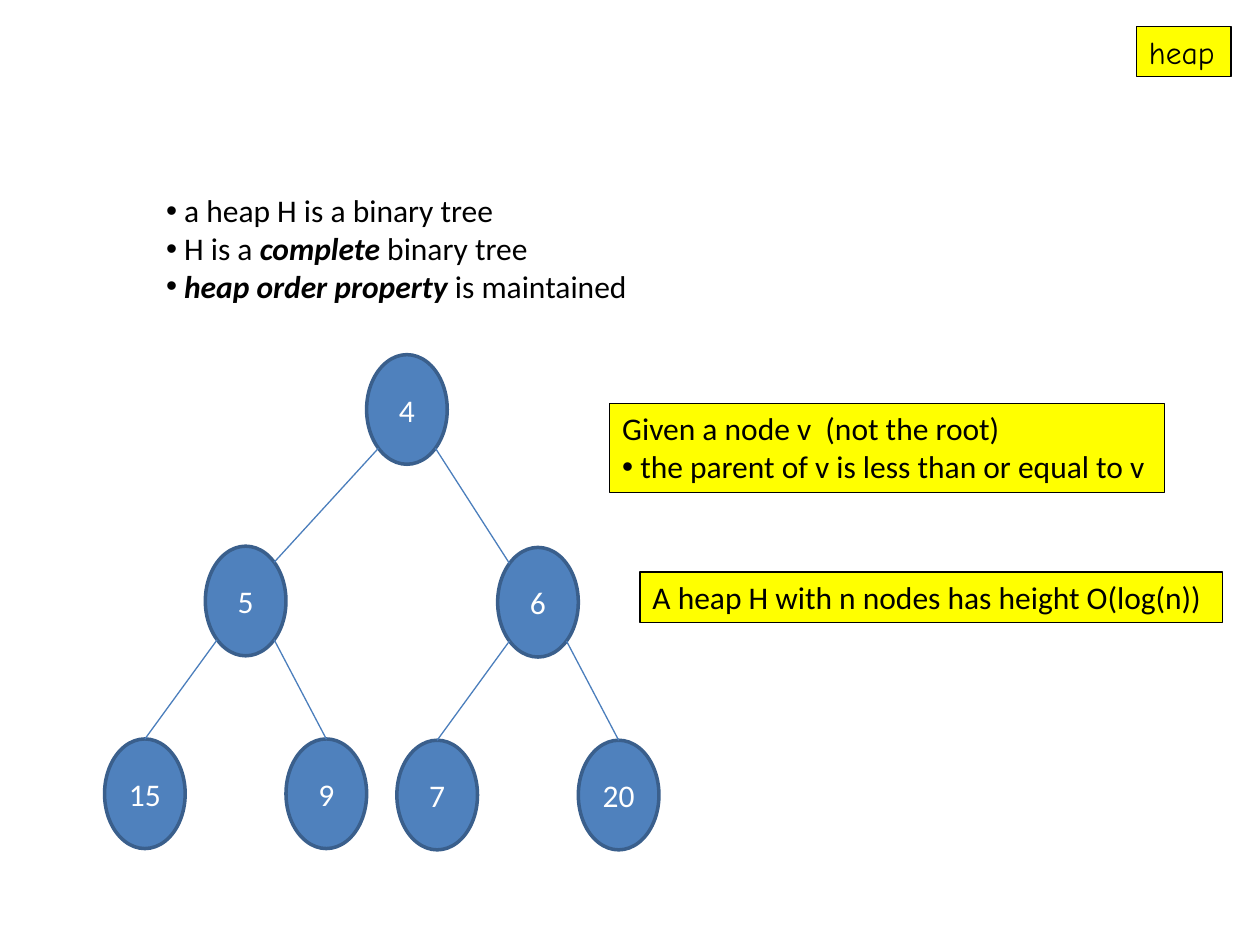
"""Build a slide that explains the heap with a binary tree."""
from math import sqrt

from lxml.etree import SubElement
from pptx import Presentation
from pptx.dml.color import RGBColor
from pptx.enum.shapes import MSO_CONNECTOR, MSO_SHAPE
from pptx.enum.text import MSO_ANCHOR, MSO_AUTO_SIZE, PP_ALIGN
from pptx.oxml.ns import qn
from pptx.util import Inches, Pt

COLORS = {
    "note": "FFFF00",
    "text": "000000",
    "node": "4F81BD",
    "node_line": "3A5F8C",
    "edge": "4B7EBC",
    "node_text": "FFFFFF",
}
NODE_WIDTH, NODE_HEIGHT = 0.64, 0.87
DIAGONAL_X = NODE_WIDTH / 2 / sqrt(2)
DIAGONAL_Y = NODE_HEIGHT / 2 / sqrt(2)
ROOT = (3.23, 3.25)
SUBTREES = [
    (1.95, 4.77, "5", "15", "9"),
    (4.27, 4.78, "6", "7", "20"),
]
LEAF_OFFSETS = (-0.8, 0.64)
LEAF_DROP = 1.53


def color(name):
    return RGBColor.from_string(COLORS[name])


def add_run(paragraph, text, color_name="text", font="Calibri", emphasis=False):
    run = paragraph.add_run()
    run.text = text
    run.font.name = font
    run.font.size = Pt(18)
    run.font.bold = run.font.italic = emphasis
    run.font.color.rgb = color(color_name)


def add_bullet(paragraph):
    properties = paragraph._p.get_or_add_pPr()
    SubElement(properties, qn("a:buFont")).set("typeface", "Arial")
    SubElement(properties, qn("a:buChar")).set("char", "•")


def add_text(slide, box, paragraphs, font="Calibri", filled=True):
    shape = slide.shapes.add_textbox(*map(Inches, box))
    if filled:
        shape.fill.solid()
        shape.fill.fore_color.rgb = color("note")
        shape.line.color.rgb = color("text")
        shape.line.width = Pt(0.75)
    frame = shape.text_frame
    frame.word_wrap = False
    frame.auto_size = MSO_AUTO_SIZE.SHAPE_TO_FIT_TEXT
    for index, (bulleted, runs) in enumerate(paragraphs):
        paragraph = frame.add_paragraph() if index else frame.paragraphs[0]
        if bulleted:
            add_bullet(paragraph)
        for text, emphasis in runs:
            add_run(paragraph, text, font=font, emphasis=emphasis)


def add_node(slide, x, y, label):
    shape = slide.shapes.add_shape(
        MSO_SHAPE.OVAL,
        Inches(x - NODE_WIDTH / 2), Inches(y - NODE_HEIGHT / 2),
        Inches(NODE_WIDTH), Inches(NODE_HEIGHT),
    )
    shape.shadow.inherit = False
    shape.fill.solid()
    shape.fill.fore_color.rgb = color("node")
    shape.line.color.rgb = color("node_line")
    shape.line.width = Pt(2)
    frame = shape.text_frame
    frame.vertical_anchor = MSO_ANCHOR.MIDDLE
    paragraph = frame.paragraphs[0]
    paragraph.alignment = PP_ALIGN.CENTER
    add_run(paragraph, label, "node_text")


def add_edge(slide, parent, end):
    side = 1 if end[0] > parent[0] else -1
    start = (parent[0] + side * DIAGONAL_X, parent[1] + DIAGONAL_Y)
    connector = slide.shapes.add_connector(
        MSO_CONNECTOR.STRAIGHT, *map(Inches, start + end)
    )
    connector.line.color.rgb = color("edge")
    connector.line.width = Pt(0.75)
    SubElement(connector._element.spPr, qn("a:effectLst"))


def add_tree(slide):
    add_node(slide, *ROOT, "4")
    for x, y, label, *leaves in SUBTREES:
        side = 1 if x > ROOT[0] else -1
        add_node(slide, x, y, label)
        add_edge(slide, ROOT, (x - side * DIAGONAL_X, y - DIAGONAL_Y))
        for offset, leaf in zip(LEAF_OFFSETS, leaves):
            leaf_x, leaf_y = x + offset, y + LEAF_DROP
            add_node(slide, leaf_x, leaf_y, leaf)
            add_edge(slide, (x, y), (leaf_x, leaf_y - NODE_HEIGHT / 2))


def main():
    presentation = Presentation()
    presentation.slide_width = Inches(10)
    presentation.slide_height = Inches(7.5)
    slide = presentation.slides.add_slide(presentation.slide_layouts[6])

    add_text(slide, (9.02, 0.21, 0.75, 0.4),
             [(False, [("heap", False)])], font="Comic Neue")
    add_text(slide, (1.22, 1.47, 3.87, 1.01), [
        (True, [(" a heap H is a binary tree ", False)]),
        (True, [(" H is a ", False), ("complete", True), (" binary tree", False)]),
        (True, [(" heap order property ", True), ("is maintained", False)]),
    ], filled=False)
    add_tree(slide)
    add_text(slide, (4.84, 3.2, 4.4, 0.71), [
        (False, [("Given a node v  (not the root) ", False)]),
        (True, [(" the parent of v is less than or equal to v", False)]),
    ])
    add_text(slide, (5.08, 4.54, 4.62, 0.4),
             [(False, [("A heap H with n nodes has height O(log(n))", False)])])
    presentation.save("out.pptx")


main()
